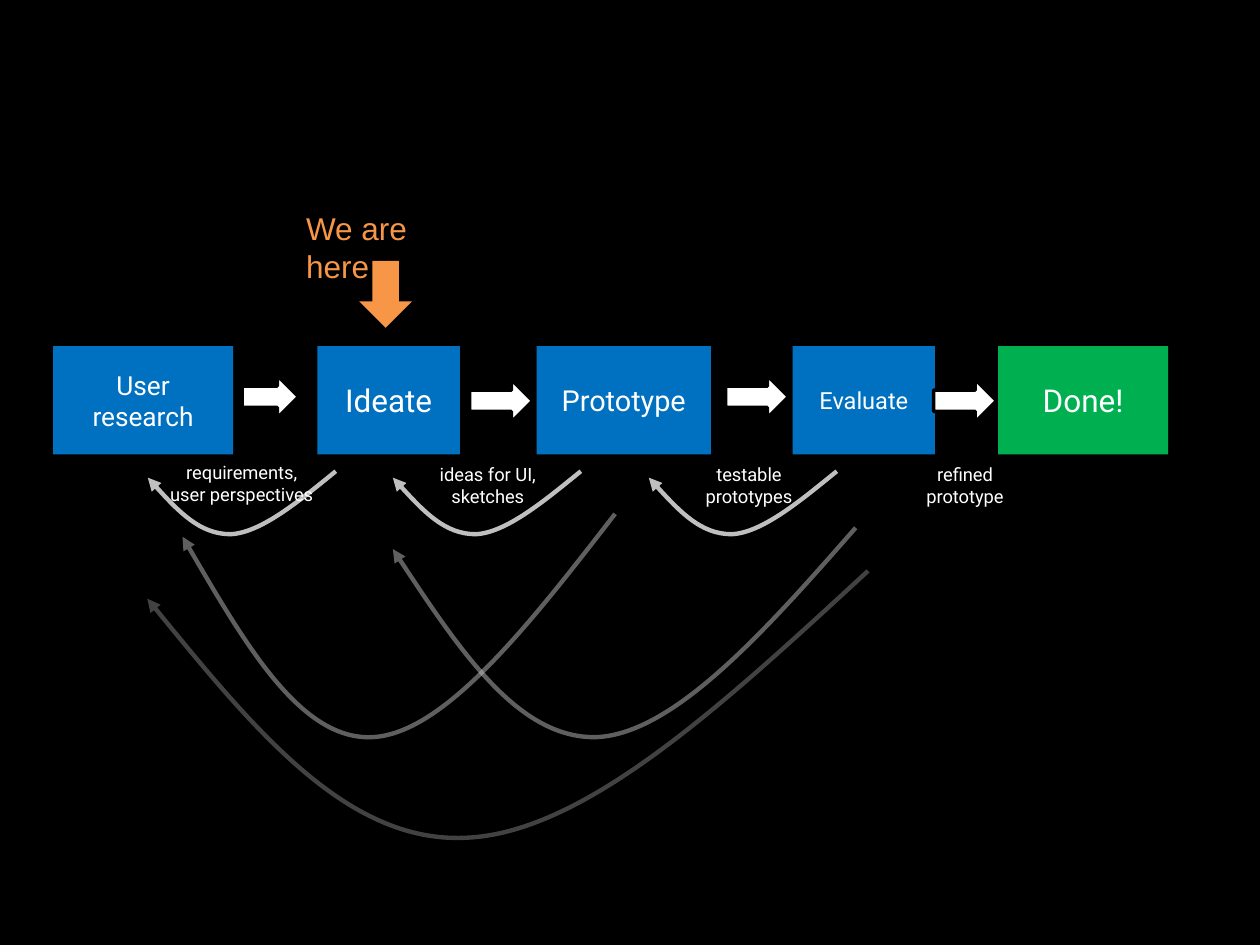
from dataclasses import dataclass

from lxml.etree import SubElement
from pptx import Presentation
from pptx.dml.color import RGBColor
from pptx.enum.shapes import MSO_SHAPE
from pptx.enum.text import MSO_ANCHOR, PP_ALIGN
from pptx.oxml.ns import qn
from pptx.util import Cm, Pt

WHITE, BLACK, BLUE, GREEN = "FFFFFF", "000000", "0070C0", "00B050"
ORANGE, GREY = "F79646", "BFBFBF"
BLOCK_TOP, BLOCK_HEIGHT = 6.98, 2.18
LOOP_TOP = 9.5
LOOP = [(0, 0), (-0.75, 0.61), (-1.51, 1.24), (-2.12, 1.27),
        (-2.74, 1.27), (-3.27, 0.71), (-3.79, 0.13)]


@dataclass
class Block:
    text: str
    left: float
    width: float
    size: float
    color: str = BLUE


@dataclass
class Arrow:
    left: float
    top: float
    width: float
    height: float = 0.86
    kind: MSO_SHAPE = MSO_SHAPE.RIGHT_ARROW
    color: str = WHITE
    outline: bool = True


@dataclass
class Curve:
    points: list
    opacity: int = 100


@dataclass
class Label:
    text: str
    left: float
    top: float
    width: float
    height: float = 1.6
    size: float = 10.5
    font: str = "Roboto"
    color: str = WHITE
    align: PP_ALIGN = PP_ALIGN.CENTER
    wrap: bool = False


BLOCKS = [
    Block("User research", 1.07, 3.63, 15),
    Block("Ideate", 6.4, 2.87, 18),
    Block("Prototype", 10.82, 3.51, 16.5),
    Block("Evaluate", 15.98, 2.87, 13.5),
    Block("Done!", 20.12, 3.43, 18, GREEN),
]
ARROWS = [
    Arrow(4.88, 7.57, 1.14),
    Arrow(9.47, 7.65, 1.27),
    Arrow(14.63, 7.57, 1.27),
    Arrow(18.82, 7.65, 1.27),
]
CURVES = [Curve([(x + dx, LOOP_TOP + dy) for dx, dy in LOOP]) for x in (16.87, 11.71, 6.77)] + [
    Curve([(17.25, 10.64), (15.42, 12.73), (13.59, 14.78), (12.04, 14.86),
           (10.46, 14.91), (9.19, 13), (7.92, 11.07)], 50),
    Curve([(17.5, 11.51), (14.63, 14.15), (11.79, 16.81), (9.37, 16.89),
           (6.96, 16.99), (4.98, 14.53), (2.97, 12.07)], 35),
    Curve([(12.4, 10.36), (10.69, 12.57), (8.97, 14.78), (7.52, 14.86),
           (6.07, 14.94), (4.88, 12.88), (3.68, 10.82)], 50),
]
LABELS = [
    Label("requirements,\nuser perspectives", 2.79, 9.17, 4.17),
    Label("ideas for UI,\vsketches", 8.31, 9.22, 3.05),
    Label("testable\vprototypes", 13.74, 9.22, 2.72),
    Label("refined\vprototype", 18.21, 9.22, 2.49),
    Label("We are here", 5.92, 4.09, 3.8, 1.02, 18, "Arial", ORANGE, PP_ALIGN.LEFT, True),
]


def rgb(color: str) -> RGBColor:
    return RGBColor.from_string(color)


def write(tf, text: str, size: float, font: str, color: str, align: PP_ALIGN) -> None:
    tf.text = text
    for p in tf.paragraphs:
        p.alignment = align
        for r in p.runs:
            for name, value in {"size": Pt(size), "name": font}.items():
                setattr(r.font, name, value)
            r.font.color.rgb = rgb(color)


def add_preset(s, kind: MSO_SHAPE, left: float, top: float, width: float, height: float, color: str):
    sp = s.shapes.add_shape(kind, Cm(left), Cm(top), Cm(width), Cm(height))
    sp.shadow.inherit = False
    sp.fill.solid()
    sp.fill.fore_color.rgb = rgb(color)
    sp.line.fill.background()
    return sp


def add_block(s, block: Block) -> None:
    sp = add_preset(s, MSO_SHAPE.RECTANGLE, block.left, BLOCK_TOP, block.width, BLOCK_HEIGHT, block.color)
    tf = sp.text_frame
    frame = {"word_wrap": True, "vertical_anchor": MSO_ANCHOR.MIDDLE,
             "margin_left": Cm(0.3), "margin_right": Cm(0.3)}
    for name, value in frame.items():
        setattr(tf, name, value)
    write(tf, block.text, block.size, "Roboto", WHITE, PP_ALIGN.CENTER)


def add_arrow(s, arrow: Arrow) -> None:
    sp = add_preset(s, arrow.kind, arrow.left, arrow.top, arrow.width, arrow.height, arrow.color)
    if arrow.outline:
        sp.line.color.rgb = rgb(BLACK)
        sp.line.width = Pt(2)


def add_curve(s, curve: Curve) -> None:
    start, *rest = [(Cm(x), Cm(y)) for x, y in curve.points]
    builder = s.shapes.build_freeform(*start)
    builder.add_line_segments(rest, close=False)
    sp = builder.convert_to_shape()
    sp.shadow.inherit = False
    sp.fill.background()
    sp.line.color.rgb = rgb(GREY)
    sp.line.width = Pt(2.5)
    outline = next(sp.element.iter(qn("a:path")))
    segments = outline.findall(qn("a:lnTo"))
    for i in range(0, len(segments), 3):
        bezier = SubElement(outline, qn("a:cubicBezTo"))
        for segment in segments[i:i + 3]:
            bezier.append(segment[0])
            outline.remove(segment)
    ln = sp.element.spPr.find(qn("a:ln"))
    if curve.opacity < 100:
        SubElement(next(ln.iter(qn("a:srgbClr"))), qn("a:alpha"), val=str(curve.opacity * 1000))
    SubElement(ln, qn("a:tailEnd"), type="triangle")


def add_label(s, label: Label) -> None:
    box = s.shapes.add_textbox(Cm(label.left), Cm(label.top), Cm(label.width), Cm(label.height))
    box.text_frame.word_wrap = label.wrap
    write(box.text_frame, label.text, label.size, label.font, label.color, label.align)


def main() -> None:
    """Build the design process slide."""
    prs = Presentation()
    prs.slide_width, prs.slide_height = Cm(25.4), Cm(19.05)
    s = prs.slides.add_slide(prs.slide_layouts[6])
    s.background.fill.solid()
    s.background.fill.fore_color.rgb = rgb(BLACK)
    for block in BLOCKS:
        add_block(s, block)
    for arrow in ARROWS:
        add_arrow(s, arrow)
    for curve in CURVES:
        add_curve(s, curve)
    for label in LABELS:
        add_label(s, label)
    add_arrow(s, Arrow(7.24, 5.26, 1.07, 1.35, MSO_SHAPE.DOWN_ARROW, ORANGE, False))
    prs.save("out.pptx")


if __name__ == "__main__":
    main()
